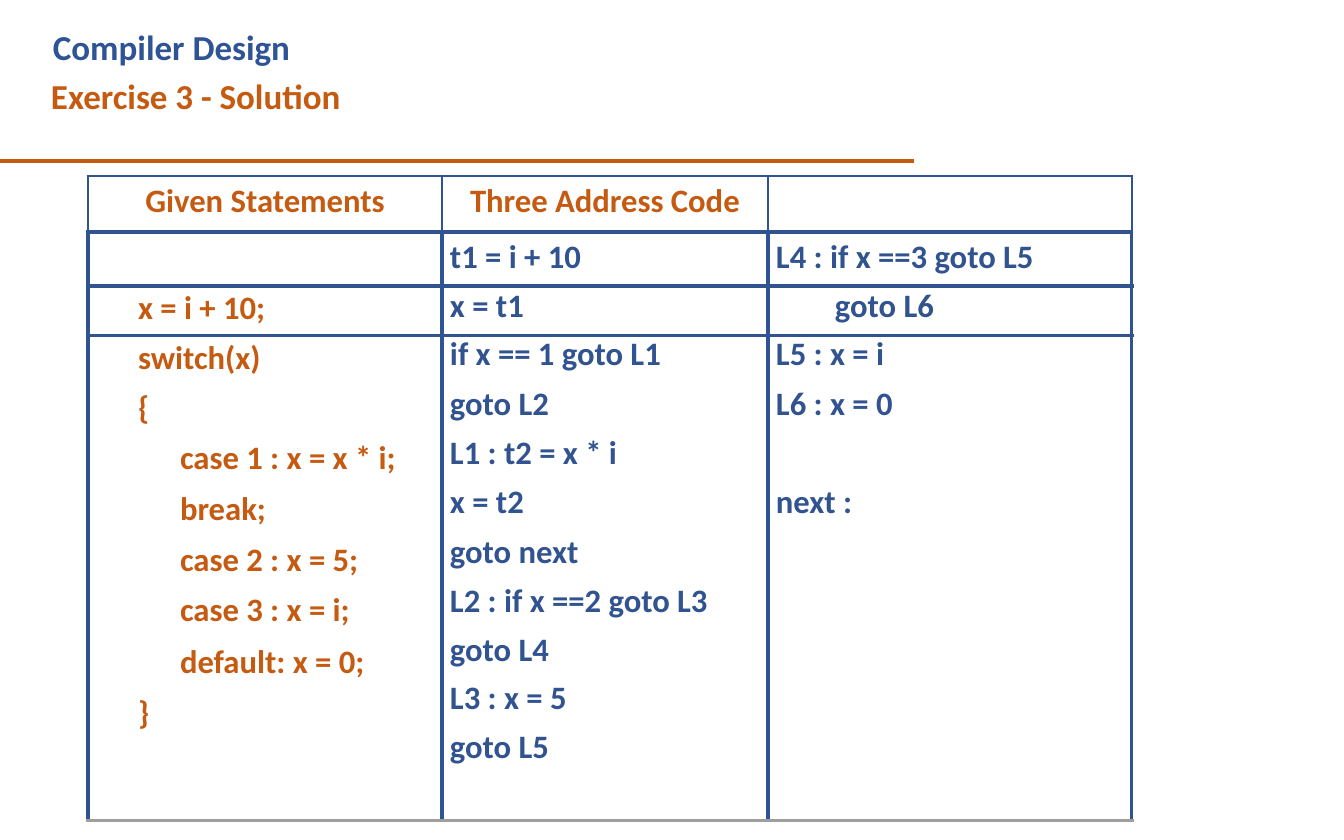
from lxml import etree
from pptx import Presentation
from pptx.dml.color import RGBColor
from pptx.enum.shapes import MSO_SHAPE
from pptx.enum.text import PP_ALIGN
from pptx.oxml.ns import qn
from pptx.util import Emu, Pt

PX = 914400 / 84
FONT = "Calibri"
BLUE = RGBColor(0x2F, 0x54, 0x96)
STEEL = RGBColor(0x31, 0x53, 0x8F)
ORANGE = RGBColor(0xC5, 0x5A, 0x11)
GREY = RGBColor(0x9E, 0x9E, 0x9E)
RECTANGLE = MSO_SHAPE.RECTANGLE
CENTER = PP_ALIGN.CENTER
NO_GRID_STYLE = "{2D5ABB26-0587-4C30-8999-92F81FD0307C}"

COLUMNS = (354, 326, 364)
ROWS = (56, 54) + (50,) * 9 + (85,)
PAD, STEP, CASE_STEP = 8, 50, 92

# text, indent, top inset
STATEMENTS = {
    2: ("x = i + 10;", STEP, 2),
    3: ("switch(x)", STEP, 2),
    4: ("{", STEP, 3),
    5: ("case 1 : x = x * i;", CASE_STEP, 3),
    6: ("break;", CASE_STEP, 4),
    7: ("case 2 : x = 5;", CASE_STEP, 5),
    8: ("case 3 : x = i;", CASE_STEP, 5),
    9: ("default: x = 0;", CASE_STEP, 7),
    10: ("}", STEP, 8),
}
ADDRESS_CODE = (
    "t1 = i + 10", "x = t1", "if x == 1 goto L1", "goto L2",
    "L1 : t2 = x * i", "x = t2", "goto next", "L2 : if x ==2 goto L3",
    "goto L4", "L3 : x = 5", "goto L5",
)
ADDRESS_CODE_MORE = {
    1: "L4 : if x ==3 goto L5", 2: "goto L6", 3: "L5 : x = i",
    4: "L6 : x = 0", 6: "next :",
}
# exact line heights in points, from the fourth row on
LINE_HEIGHTS = dict(enumerate(
    (33.1, 32.8, 32, 31.6, 31.2, 30.2, 29.4, 28.3, 27.3), start=3))


def px(n):
    return Emu(round(n * PX))


def set_font(font, size, color):
    font.name, font.size, font.bold = FONT, Pt(size), True
    font.color.rgb = color


def set_indent(p, left, first=0):
    pPr = p._p.get_or_add_pPr()
    pPr.set("marL", str(px(left)))
    pPr.set("indent", str(px(first)))


def add_title(s, x, y, w, h):
    tf = s.shapes.add_textbox(px(x), px(y), px(w), px(h)).text_frame
    tf.word_wrap = True
    tf.margin_left = tf.margin_right = tf.margin_bottom = 0
    tf.margin_top = px(1)
    p = tf.paragraphs[0]
    p.line_spacing = 1.17
    set_indent(p, 1, 2)
    for text, color in (("Compiler Design ", BLUE),
                        ("Exercise 3 - Solution", ORANGE)):
        r = p.add_run()
        r.text = text
        set_font(r.font, 30, color)


def add_rule(s, x, y, w, h):
    sp = s.shapes.add_shape(RECTANGLE, px(x), px(y), px(w), px(h))
    sp.shadow.inherit = False
    sp.fill.solid()
    sp.fill.fore_color.rgb = ORANGE
    sp.line.fill.background()


def set_borders(cell, row, col):
    header, last = row == 0, row == len(ROWS) - 1
    width = 2.25 if header else 3
    inner = STEEL if header else BLUE
    edges = {
        "L": (STEEL if col == 0 else inner, width),
        "R": (STEEL if col == len(COLUMNS) - 1 else inner, width),
    }
    if row <= 2:
        edges["T"] = (STEEL, width)
    if row <= 1:
        edges["B"] = (STEEL, 3)
    elif last:
        edges["B"] = (GREY, 3)
    tcPr = cell._tc.get_or_add_tcPr()
    for side, (color, points) in edges.items():
        ln = etree.SubElement(tcPr, qn("a:ln" + side), w=str(Pt(points)))
        fill = etree.SubElement(ln, qn("a:solidFill"))
        etree.SubElement(fill, qn("a:srgbClr"), val=str(color))


def fill_cell(cell, text, color, indent, top, line_height=None):
    cell.margin_top = px(top)
    p = cell.text_frame.paragraphs[0]
    p.text = text
    set_indent(p, indent)
    if line_height:
        p.line_spacing = Pt(line_height)
    set_font(p.font, 28, color)
    return p


def add_code_table(s, x, y):
    frame = s.shapes.add_table(len(ROWS), len(COLUMNS), px(x), px(y),
                               px(sum(COLUMNS)), px(sum(ROWS)))
    table = frame.table
    table.first_row = table.horz_banding = False
    table._tbl.tblPr.find(qn("a:tableStyleId")).text = NO_GRID_STYLE
    for column, width in zip(table.columns, COLUMNS):
        column.width = px(width)
    for i, height in enumerate(ROWS):
        table.rows[i].height = px(height)
        for j in range(len(COLUMNS)):
            cell = table.cell(i, j)
            cell.margin_left = cell.margin_right = 0
            cell.margin_top = cell.margin_bottom = 0
            set_borders(cell, i, j)
            cell.fill.background()

    p = fill_cell(table.cell(0, 0), "Given Statements", ORANGE, 0, 5)
    p.alignment = CENTER
    fill_cell(table.cell(0, 1), "Three Address Code", ORANGE, 28, 5)
    for i, (text, indent, top) in STATEMENTS.items():
        fill_cell(table.cell(i, 0), text, ORANGE, indent, top)
    code_columns = (dict(enumerate(ADDRESS_CODE, start=1)), ADDRESS_CODE_MORE)
    for j, lines in enumerate(code_columns, start=1):
        for i, text in lines.items():
            indent = 67 if text == "goto L6" else PAD
            fill_cell(table.cell(i, j), text, STEEL, indent,
                      5 if i == 1 else 0, LINE_HEIGHTS.get(i))


def main():
    prs = Presentation()
    prs.slide_width, prs.slide_height = px(1344), px(840)
    s = prs.slides.add_slide(prs.slide_layouts[6])
    add_title(s, 50, 17, 319, 100)
    add_rule(s, 0, 159, 914, 4)
    add_code_table(s, 88, 176)
    prs.save("out.pptx")


if __name__ == "__main__":
    main()
